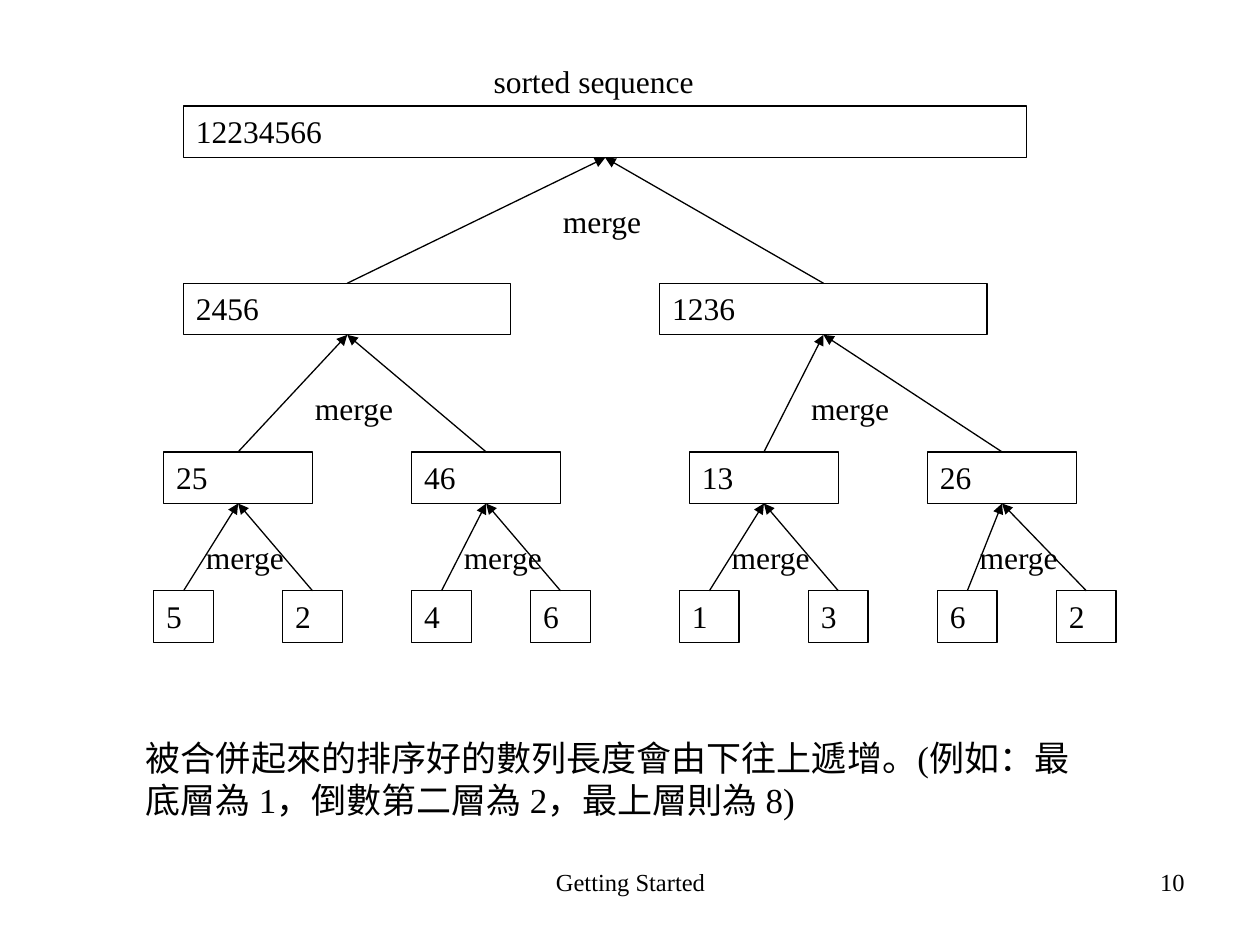
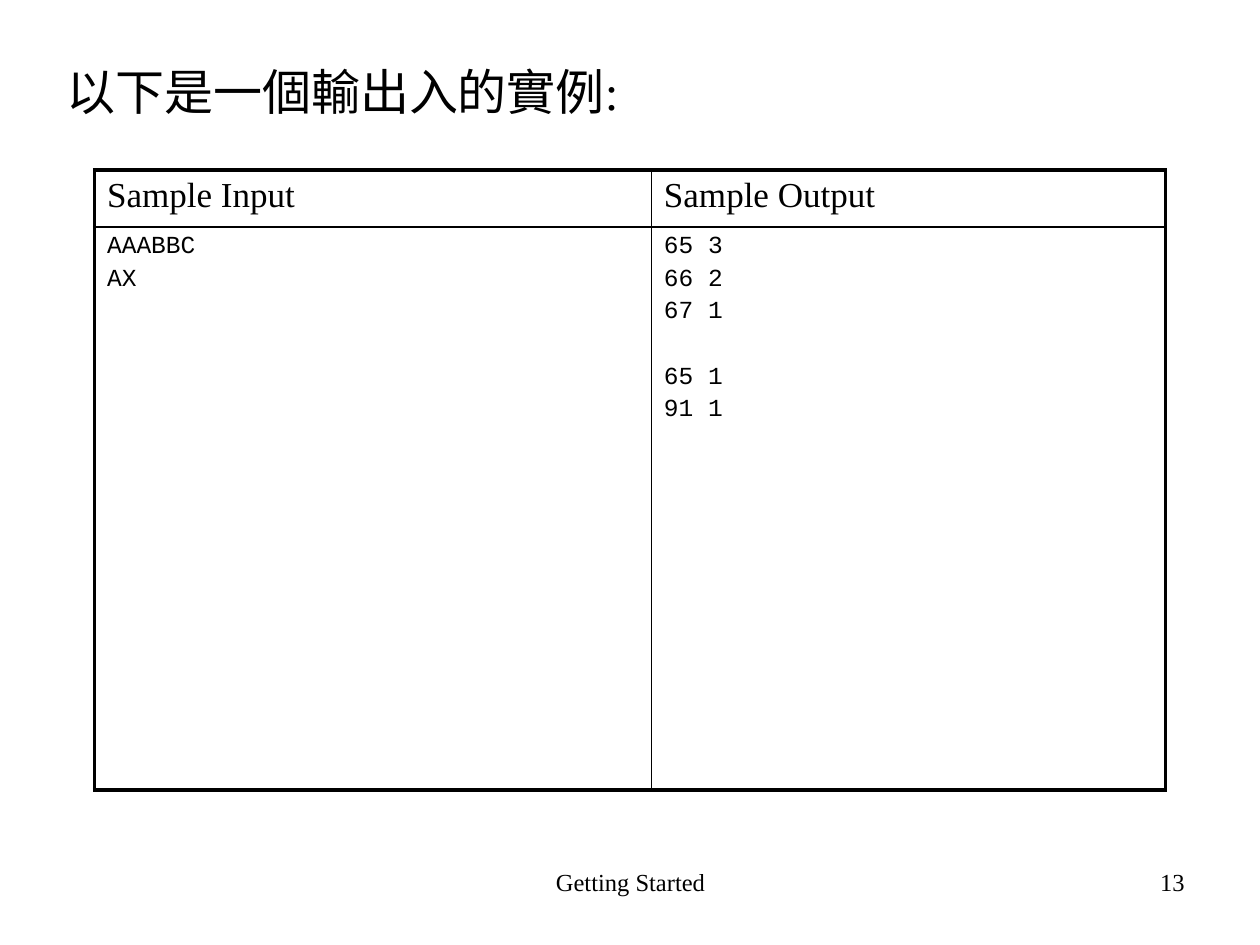
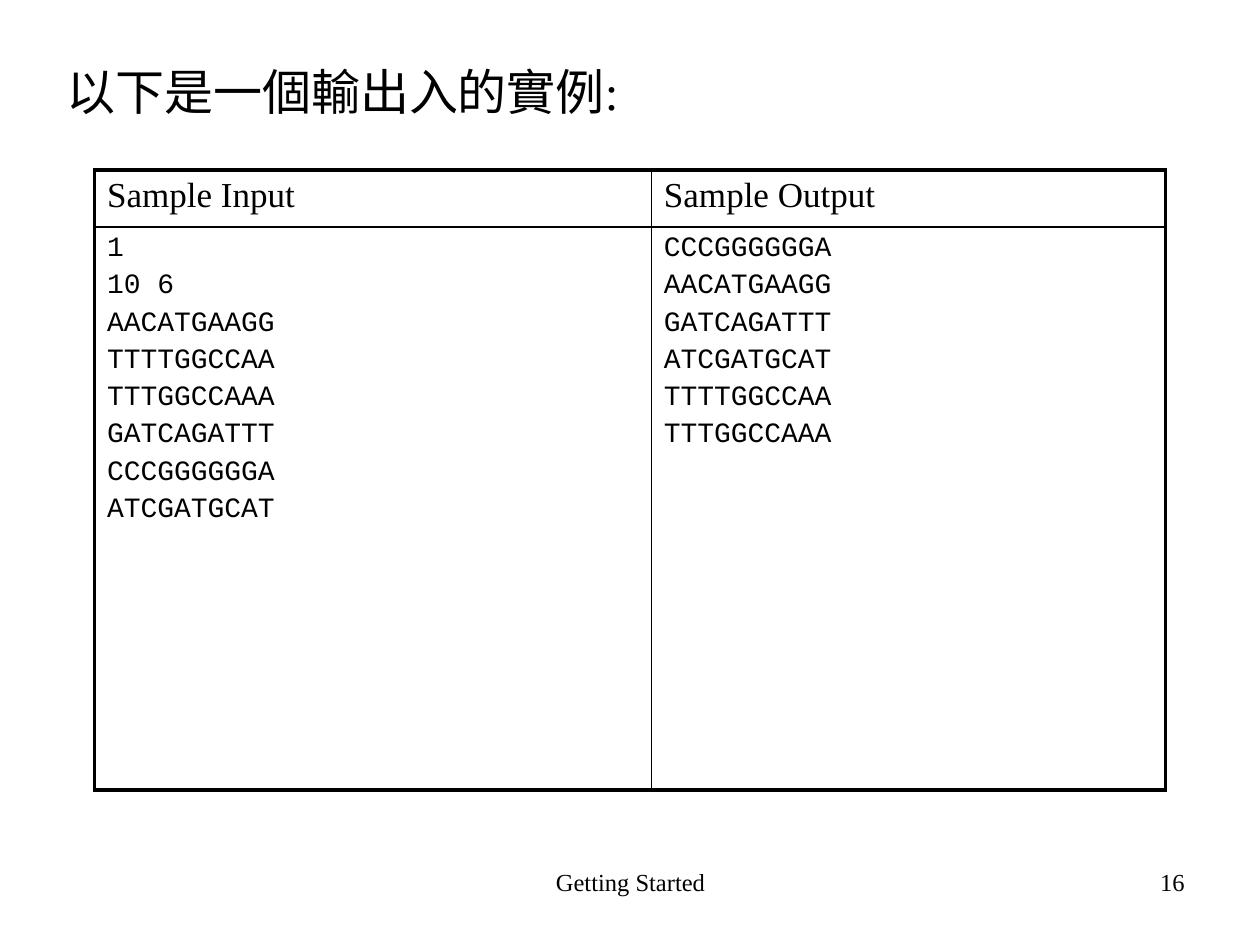
from dataclasses import dataclass

from lxml import etree
from pptx import Presentation
from pptx.dml.color import RGBColor
from pptx.enum.shapes import MSO_CONNECTOR, MSO_SHAPE
from pptx.enum.text import MSO_AUTO_SIZE, PP_ALIGN
from pptx.oxml.ns import qn
from pptx.util import Inches, Mm, Pt

LEFT, CENTER, RIGHT, JUSTIFY = PP_ALIGN.LEFT, PP_ALIGN.CENTER, PP_ALIGN.RIGHT, PP_ALIGN.JUSTIFY
GROW = MSO_AUTO_SIZE.SHAPE_TO_FIT_TEXT
RECT, STRAIGHT = MSO_SHAPE.RECTANGLE, MSO_CONNECTOR.STRAIGHT


@dataclass(frozen=True)
class Theme:
    ink: str = "000000"
    serif: str = "Times New Roman"
    mono: str = "Courier New"
    title: int = 28
    body: int = 20
    label: int = 18
    footer: int = 14
    line: float = 0.75
    inner: float = 1
    outer: float = 2.25
    para_gap: float = 0.2


T = Theme()
INK = RGBColor.from_string(T.ink)

FOOTER = "Getting Started"
NOTE = "被合併起來的排序好的數列長度會由下往上遞增。(例如：最底層為 1，倒數第二層為 2，最上層則為 8)"
EXAMPLE_TITLE = "以下是一個輸出入的實例:"
HEADERS = ("Sample Input", "Sample Output")

BOX_HEIGHT = 10.4
LEVELS = [
    dict(top=21.4, width=170, boxes=[(37, "12234566")]),
    dict(top=57.1, width=66, boxes=[(37, "2456"), (133, "1236")]),
    dict(top=91.1, width=30, boxes=[(33, "25"), (83, "46"), (139, "13"), (187, "26")]),
    dict(top=119.1, width=12, boxes=[(31, "5"), (57, "2"), (83, "4"), (107, "6"),
                                     (137, "1"), (163, "3"), (189, "6"), (213, "2")]),
]
MERGE_LABELS = [(39.4, (111,)), (77.2, (61, 161)), (107.2, (39, 91, 145, 195))]

EXAMPLES = [
    dict(number=13, size=14,
         columns=([["AAABBC", "AX"]],
                  [["65 3", "66 2", "67 1"], ["65 1", "91 1"]])),
    dict(number=16, size=16,
         columns=([["1", "10 6", "AACATGAAGG", "TTTTGGCCAA", "TTTGGCCAAA",
                    "GATCAGATTT", "CCCGGGGGGA", "ATCGATGCAT"]],
                  [["CCCGGGGGGA", "AACATGAAGG", "GATCAGATTT",
                    "ATCGATGCAT", "TTTTGGCCAA", "TTTGGCCAAA"]])),
]
COLUMN_WIDTHS = (4.42, 4.08)
ROW_HEIGHTS = (0.45, 4.47)
GROUP_GAP = 1.54


def write(tf, groups, size=T.label, font=T.serif, align=LEFT):
    if isinstance(groups, str):
        groups = [[groups]]
    p = None
    for group in groups:
        for i, line in enumerate(group):
            if p is None:
                p = tf.paragraphs[0]
            else:
                p = tf.add_paragraph()
                p.space_before = Pt(round(size * (T.para_gap if i else GROUP_GAP), 1))
            p.alignment = align
            r = p.add_run()
            r.text = line
            r.font.size, r.font.name = Pt(size), font
            r.font.color.rgb = INK


def add_text(s, box, text, wrap=True, grow=False, **fmt):
    tf = s.shapes.add_textbox(*box).text_frame
    tf.word_wrap = wrap
    if grow:
        tf.auto_size = GROW
    write(tf, text, **fmt)


def inches(*values):
    return [Inches(v) for v in values]


def mm(*values):
    return [Mm(v) for v in values]


def new_slide(prs, number):
    s = prs.slides.add_slide(prs.slide_layouts[6])
    add_text(s, inches(3.42, 6.83, 3.17, 0.52), FOOTER, size=T.footer, align=CENTER)
    add_text(s, inches(7.17, 6.83, 2.33, 0.52), str(number), size=T.footer, align=RIGHT)
    return s


def add_box(s, left, top, width, text):
    sp = s.shapes.add_shape(RECT, *mm(left, top, width, BOX_HEIGHT))
    sp.shadow.inherit = False
    sp.fill.background()
    sp.line.color.rgb, sp.line.width = INK, Pt(T.line)
    tf = sp.text_frame
    tf.word_wrap, tf.auto_size = True, GROW
    tf.vertical_anchor = None
    write(tf, text, align=JUSTIFY)
    return sp


def add_arrow(s, child, parent):
    c = s.shapes.add_connector(STRAIGHT, 0, 0, 0, 0)
    c.begin_connect(child, 0)
    c.end_connect(parent, 2)
    c.line.color.rgb, c.line.width = INK, Pt(T.line)
    etree.SubElement(c.line._get_or_add_ln(), qn("a:tailEnd"), type="triangle")
    etree.SubElement(c._element.spPr, qn("a:effectLst"))


def merge_slide(prs):
    s = new_slide(prs, 10)
    tree = [[add_box(s, left, level["top"], level["width"], text)
             for left, text in level["boxes"]] for level in LEVELS]
    for parents, children in zip(tree, tree[1:]):
        for i, child in enumerate(children):
            add_arrow(s, child, parents[i // 2])
    add_text(s, mm(97, 11.2, 45.5, 10.2), "sorted sequence", wrap=False, grow=True)
    for top, lefts in MERGE_LABELS:
        for left in lefts:
            add_text(s, mm(left, top, 21, 10.2), "merge", wrap=False, grow=True)
    add_text(s, inches(1.06, 5.8, 7.8, 0.77), NOTE, size=T.body, grow=True)


def set_borders(cell, **widths):
    tc_pr = cell._tc.get_or_add_tcPr()
    for side in "LRTB":
        ln = etree.SubElement(tc_pr, qn(f"a:ln{side}"), w=str(Pt(widths[side])))
        fill = etree.SubElement(ln, qn("a:solidFill"))
        etree.SubElement(fill, qn("a:srgbClr"), val=T.ink)


def example_slide(prs, number, size, columns):
    s = new_slide(prs, number)
    add_text(s, inches(0.43, 0.44, 9, 4.95), EXAMPLE_TITLE, size=T.title)
    frame = s.shapes.add_table(2, 2, *inches(0.75, 1.35, sum(COLUMN_WIDTHS), sum(ROW_HEIGHTS)))
    table = frame.table
    table.first_row = table.horz_banding = False
    for row, height in zip(table.rows, ROW_HEIGHTS):
        row.height = Inches(height)
    for j, (width, header, groups) in enumerate(zip(COLUMN_WIDTHS, HEADERS, columns)):
        table.columns[j].width = Inches(width)
        write(table.cell(0, j).text_frame, header, size=T.body)
        write(table.cell(1, j).text_frame, groups, size=size, font=T.mono)
        for i in range(2):
            cell = table.cell(i, j)
            set_borders(cell, L=T.inner if j else T.outer, R=T.outer if j else T.inner,
                        T=T.inner if i else T.outer, B=T.outer if i else T.inner)
            cell.fill.background()


def main():
    prs = Presentation()
    prs.slide_width, prs.slide_height = inches(10, 7.5)
    merge_slide(prs)
    for example in EXAMPLES:
        example_slide(prs, **example)
    prs.save("out.pptx")


if __name__ == "__main__":
    main()
